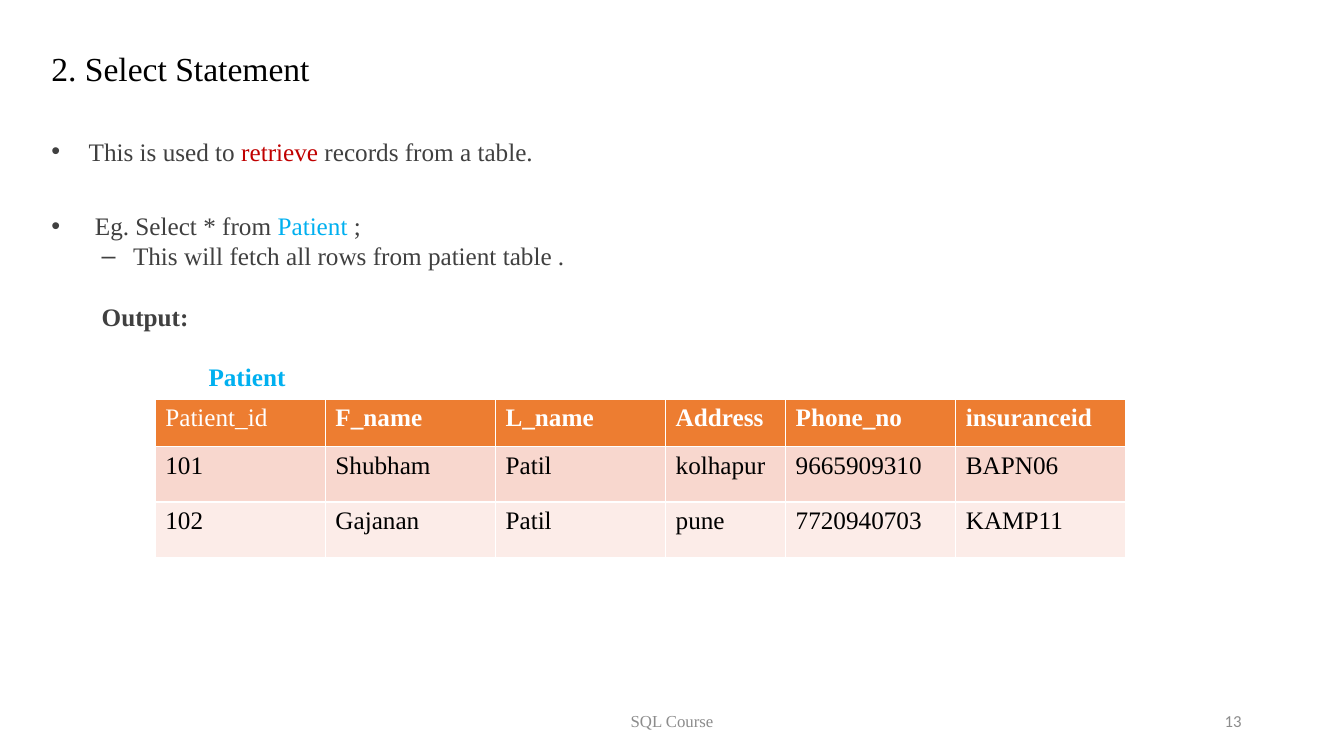
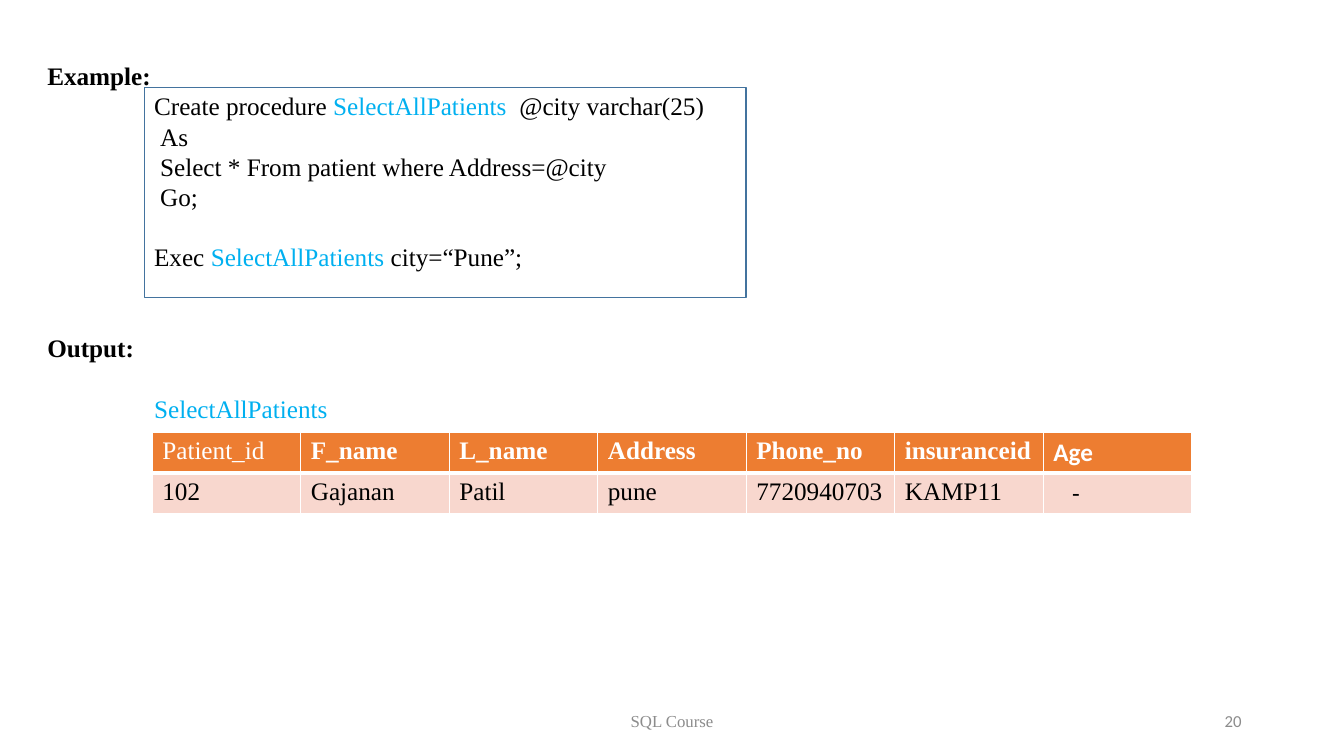
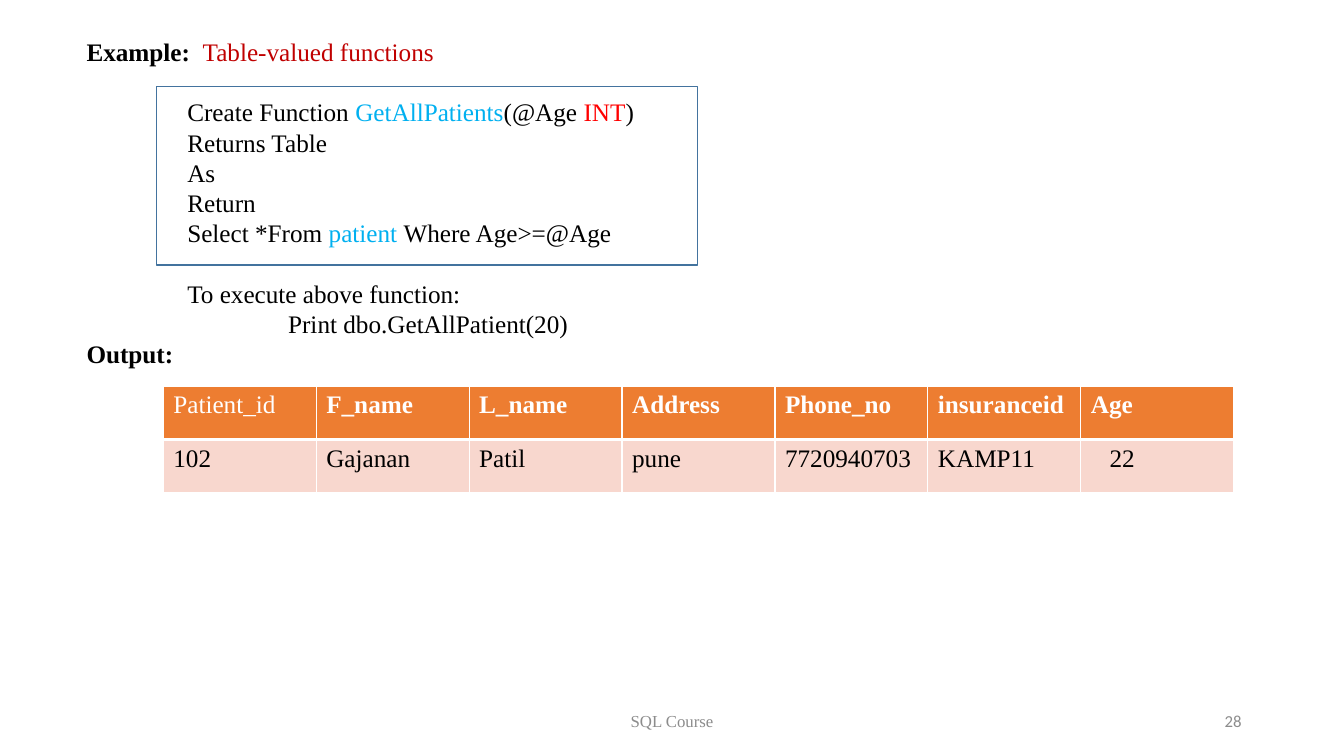
from dataclasses import dataclass
from typing import NamedTuple

from lxml import etree
from pptx import Presentation
from pptx.dml.color import RGBColor
from pptx.enum.shapes import MSO_SHAPE
from pptx.enum.text import MSO_ANCHOR, PP_ALIGN
from pptx.oxml.ns import qn
from pptx.util import Inches, Pt

RECTANGLE = MSO_SHAPE.RECTANGLE
TOP, MIDDLE = MSO_ANCHOR.TOP, MSO_ANCHOR.MIDDLE
LEFT, CENTER, RIGHT = PP_ALIGN.LEFT, PP_ALIGN.CENTER, PP_ALIGN.RIGHT
WIDTH, HEIGHT = Inches(13.333), Inches(7.5)


@dataclass(frozen=True)
class Theme:
    serif: str = "Times New Roman"
    sans: str = "Calibri"
    title: float = 24
    body: float = 18
    footer: float = 12
    line: float = 1.2
    black: str = "000000"
    white: str = "FFFFFF"
    text: str = "404040"
    grey: str = "8C8C8C"
    blue: str = "00B0F0"
    dark_red: str = "C00000"
    red: str = "FF0000"
    frame: str = "43739E"
    header: str = "ED7D31"
    bands: tuple[str, ...] = ("F8D7CE", "FCECE8")


THEME = Theme()
GAP = THEME.body * THEME.line
TITLE_GAP = THEME.title * THEME.line


class Area(NamedTuple):
    left: float
    top: float
    width: float
    height: float


class Span(NamedTuple):
    text: str
    color: str = THEME.black
    bold: bool = False
    size: float = THEME.body
    font: str = THEME.serif


class Line(NamedTuple):
    spans: tuple[Span, ...]
    indent: float = 0
    before: float = 0
    bullet: str = ""
    hanging: float = 0
    align: PP_ALIGN = LEFT


@dataclass(frozen=True)
class Grid:
    left: float
    top: float
    columns: tuple[float, ...]
    rows: tuple[float, ...]
    records: tuple[tuple[str, ...], ...]
    header_rule: float = 3
    age_font: str = THEME.serif


@dataclass(frozen=True)
class Page:
    number: int
    body: Area
    lines: tuple[Line, ...]
    grid: Grid
    frame: Area | None = None


def across(share: float) -> int:
    return round(WIDTH * share / 100)


def down(share: float) -> int:
    return round(HEIGHT * share / 100)


def place(area: Area) -> tuple[int, int, int, int]:
    return across(area.left), down(area.top), across(area.width), down(area.height)


def assign(target, values: dict) -> None:
    for name, value in values.items():
        setattr(target, name, value)


def fill_para(para, line: Line) -> None:
    assign(para, {"alignment": line.align, "space_before": Pt(line.before)})
    properties = para._p.get_or_add_pPr()
    properties.set("marL", str(across(line.indent)))
    properties.set("indent", str(-across(line.hanging)))
    if line.bullet:
        etree.SubElement(properties, qn("a:buFont"), typeface="Arial")
        etree.SubElement(properties, qn("a:buChar"), char=line.bullet)
    else:
        etree.SubElement(properties, qn("a:buNone"))
    for span in line.spans:
        run = para.add_run()
        run.text = span.text
        assign(run.font, {"name": span.font, "size": Pt(span.size), "bold": span.bold})
        run.font.color.rgb = RGBColor.from_string(span.color)


def add_text(slide, area: Area, lines: tuple[Line, ...], anchor: MSO_ANCHOR = TOP) -> None:
    frame = slide.shapes.add_textbox(*place(area)).text_frame
    assign(frame, {"word_wrap": True, "vertical_anchor": anchor})
    for index, line in enumerate(lines):
        fill_para(frame.add_paragraph() if index else frame.paragraphs[0], line)


def add_frame(slide, area: Area) -> None:
    box = slide.shapes.add_shape(RECTANGLE, *place(area))
    box.shadow.inherit = False
    box.fill.background()
    box.line.color.rgb = RGBColor.from_string(THEME.frame)
    box.line.width = Pt(1)


def add_borders(cell, widths: dict[str, float]) -> None:
    properties = cell._tc.get_or_add_tcPr()
    for side, width in widths.items():
        border = etree.SubElement(properties, qn(f"a:ln{side}"), w=str(Pt(width)))
        paint = etree.SubElement(border, qn("a:solidFill"))
        etree.SubElement(paint, qn("a:srgbClr"), val=THEME.white)


def add_grid(slide, grid: Grid) -> None:
    area = Area(grid.left, grid.top, sum(grid.columns), sum(grid.rows))
    table = slide.shapes.add_table(len(grid.rows), len(grid.columns), *place(area)).table
    assign(table, {"first_row": False, "horz_banding": False})
    for column, width in zip(table.columns, grid.columns):
        column.width = across(width)
    for row, height in zip(table.rows, grid.rows):
        row.height = down(height)
    for row, record in enumerate(grid.records):
        is_header = row == 0
        fill = THEME.header if is_header else THEME.bands[row - 1]
        color = THEME.white if is_header else THEME.black
        top, bottom = (
            (1, grid.header_rule) if is_header
            else (grid.header_rule if row == 1 else 1, 1)
        )
        for column, text in enumerate(record):
            cell = table.cell(row, column)
            is_age = column == len(PATIENT_FIELDS)
            add_borders(cell, {"L": 1, "R": 1, "T": top, "B": bottom})
            cell.fill.solid()
            cell.fill.fore_color.rgb = RGBColor.from_string(fill)
            font = grid.age_font if is_age else THEME.serif
            span = Span(text, color, is_header and column > 0, font=font)
            indent = AGE_INDENT if is_age and not is_header else 0
            fill_para(cell.text_frame.paragraphs[0], Line((span,), indent))


def add_page(deck, page: Page) -> None:
    slide = deck.slides.add_slide(deck.slide_layouts[6])
    footer = Span(FOOTER_TEXT, THEME.grey, size=THEME.footer)
    number = Span(str(page.number), THEME.grey, size=THEME.footer, font=THEME.sans)
    add_text(slide, FOOTER, (Line((footer,), align=CENTER),), MIDDLE)
    add_text(slide, NUMBER, (Line((number,), align=RIGHT),), MIDDLE)
    add_text(slide, page.body, page.lines)
    add_grid(slide, page.grid)
    if page.frame:
        add_frame(slide, page.frame)


FOOTER_TEXT = "SQL Course"
FOOTER = Area(33.13, 92.67, 33.75, 5.33)
NUMBER = Area(70.63, 92.67, 22.5, 5.33)
TAB = 7.5
CODE = TAB + 0.45
CODE_INNER = CODE + 0.45
AGE_INDENT = 1.4

PATIENT_FIELDS = ("Patient_id", "F_name", "L_name", "Address", "Phone_no", "insuranceid")
SHUBHAM = ("101", "Shubham", "Patil", "kolhapur", "9665909310", "BAPN06")
GAJANAN = ("102", "Gajanan", "Patil", "pune", "7720940703", "KAMP11")
AGE_FIELDS = (*PATIENT_FIELDS, "Age")

SELECT_PAGE = Page(
    number=13,
    body=Area(3.08, 5.73, 90, 52.67),
    lines=(
        Line((Span("2. Select Statement", size=THEME.title),)),
        Line(
            (
                Span("This is used to ", THEME.text),
                Span("retrieve", THEME.dark_red),
                Span(" records from a table.", THEME.text),
            ),
            2.78, TITLE_GAP + 5, "•", 2.78,
        ),
        Line(
            (
                Span(" Eg. Select * from ", THEME.text),
                Span("Patient", THEME.blue),
                Span(" ;", THEME.text),
            ),
            2.78, GAP + 10, "•", 2.78,
        ),
        Line(
            (Span("This will fetch all rows from patient table .", THEME.text),),
            6.08, 0, "–", 2.33,
        ),
        Line((Span("Output:", THEME.text, True),), TAB / 2, GAP),
        Line((Span("Patient", THEME.blue, True),), 11.7, GAP),
    ),
    grid=Grid(
        11.55, 52.8,
        (12.66,) * 3 + (8.93,) + (12.66,) * 2,
        (6.27, 7.33, 7.33),
        (PATIENT_FIELDS, SHUBHAM, GAJANAN),
        header_rule=1,
    ),
)

PROCEDURE_PAGE = Page(
    number=20,
    body=Area(2.78, 7.33, 94.73, 49.87),
    lines=(
        Line((Span("Example:", bold=True),)),
        Line(
            (
                Span("Create procedure "),
                Span("SelectAllPatients", THEME.blue),
                Span("  @city varchar(25)"),
            ),
            CODE,
        ),
        Line((Span("As"),), CODE_INNER),
        Line((Span("Select * From patient where Address=@city"),), CODE_INNER),
        Line((Span("Go;"),), CODE_INNER),
        Line(
            (
                Span("Exec "),
                Span("SelectAllPatients", THEME.blue),
                Span(" city=“Pune”;"),
            ),
            CODE, GAP,
        ),
        Line((Span("Output:", bold=True),), 0, 2 * GAP),
        Line((Span("SelectAllPatients", THEME.blue),), CODE, GAP),
    ),
    grid=Grid(
        11.33, 57.2, (11.05,) * 7, (5.4,) * 2,
        (AGE_FIELDS, (*GAJANAN, "-")),
        age_font=THEME.sans,
    ),
    frame=Area(10.73, 11.6, 44.78, 27.73),
)

FUNCTION_PAGE = Page(
    number=28,
    body=Area(5.7, 4.13, 94.3, 53.87),
    lines=(
        Line((
            Span("Example:  ", bold=True),
            Span("Table-valued functions", THEME.dark_red),
        )),
        Line(
            (
                Span("Create Function "),
                Span("GetAllPatients", THEME.blue),
                Span("(@Age "),
                Span("INT", THEME.red),
                Span(")"),
            ),
            TAB, GAP,
        ),
        Line((Span("Returns Table"),), TAB),
        Line((Span("As"),), TAB),
        Line((Span("Return"),), TAB),
        Line(
            (
                Span("Select *From "),
                Span("patient ", THEME.blue),
                Span("Where Age>=@Age"),
            ),
            TAB,
        ),
        Line((Span("To execute above function:"),), TAB, GAP),
        Line((Span("Print dbo.GetAllPatient(20)"),), 2 * TAB),
        Line((Span("Output:", bold=True),)),
    ),
    grid=Grid(
        12.15, 51.07, (11.38,) * 7, (7.07,) * 2,
        (AGE_FIELDS, (*GAJANAN, "22")),
    ),
    frame=Area(11.63, 11.47, 40.28, 23.6),
)


def main() -> None:
    deck = Presentation()
    assign(deck, {"slide_width": WIDTH, "slide_height": HEIGHT})
    for page in (SELECT_PAGE, PROCEDURE_PAGE, FUNCTION_PAGE):
        add_page(deck, page)
    deck.save("out.pptx")


if __name__ == "__main__":
    main()
